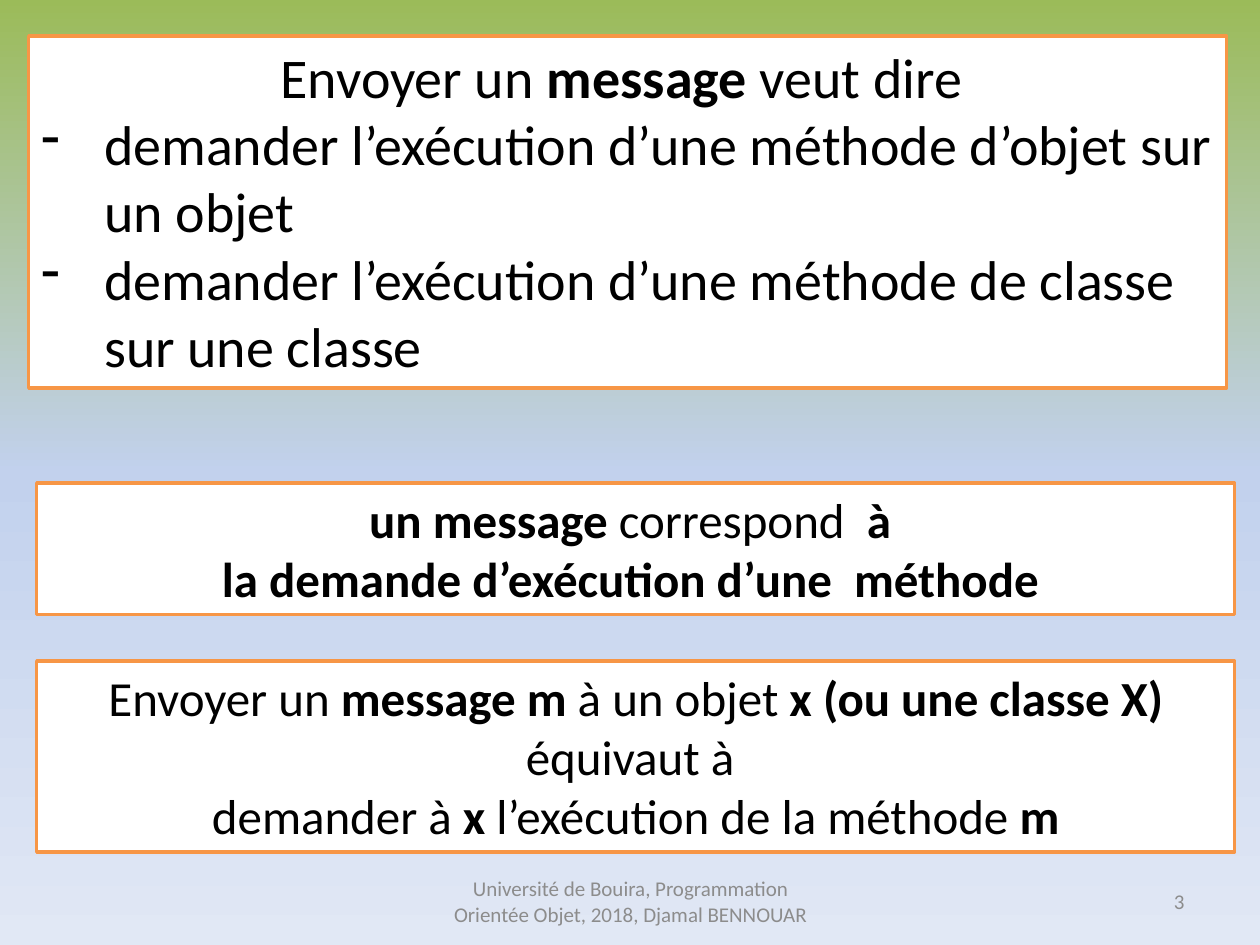
from copy import deepcopy

from pptx import Presentation
from pptx.dml.color import RGBColor
from pptx.enum.shapes import MSO_SHAPE
from pptx.enum.text import MSO_ANCHOR, MSO_AUTO_SIZE, PP_ALIGN
from pptx.oxml.ns import qn
from pptx.util import Cm, Pt
from lxml.etree import SubElement

COLORS = {
    "green": "9BBB59",
    "blue": "C2D1ED",
    "pale": "E1E8F5",
    "white": "FFFFFF",
    "orange": "F79646",
    "black": "000000",
    "grey": "8C8C8C",
}


def rgb(name):
    return RGBColor.from_string(COLORS[name])


def write_runs(paragraph, marked_text, size, color):
    for index, part in enumerate(marked_text.split("*")):
        if part:
            run = paragraph.add_run()
            run.text = part
            run.font.name = "Calibri"
            run.font.size = Pt(size)
            run.font.bold = index % 2 == 1
            run.font.color.rgb = rgb(color)


prs = Presentation()
prs.slide_width = Cm(25.4)
prs.slide_height = Cm(19.05)
slide = prs.slides.add_slide(prs.slide_layouts[6])

sky = slide.background.fill
sky.gradient()
sky.gradient_angle = 270
stop_list = slide.element.find(".//" + qn("a:gsLst"))
stop_list.append(deepcopy(stop_list[-1]))
for stop, position, name in zip(sky.gradient_stops, (0, 0.5, 1), ("green", "blue", "pale")):
    stop.position = position
    stop.color.rgb = rgb(name)

footers = [
    (8.69, 8.05, PP_ALIGN.CENTER, "Université de Bouira, Programmation Orientée Objet, 2018, Djamal BENNOUAR"),
    (18.2, 5.93, PP_ALIGN.RIGHT, "3"),
]
for left, width, alignment, text in footers:
    footer = slide.shapes.add_textbox(Cm(left), Cm(17.66), Cm(width), Cm(1.01)).text_frame
    footer.word_wrap = True
    footer.vertical_anchor = MSO_ANCHOR.MIDDLE
    footer.paragraphs[0].alignment = alignment
    write_runs(footer.paragraphs[0], text, 12, "grey")

statements = [
    (0.58, 0.73, 7.09, 32, [
        "Envoyer un *message* veut dire ",
        "- demander l’exécution d’une méthode d’objet sur un objet",
        "- demander l’exécution d’une méthode de classe sur une classe",
    ]),
    (0.74, 9.74, 2.65, 28, [
        "*un message *correspond  *à *",
        "*la demande d’exécution d’une  méthode *",
    ]),
    (0.74, 13.33, 3.85, 28, [
        "Envoyer un *message m* à un objet *x (ou une classe X)*",
        "équivaut à ",
        "demander à *x* l’exécution de la méthode *m*",
    ]),
]
for left, top, height, size, lines in statements:
    statement = slide.shapes.add_shape(MSO_SHAPE.RECTANGLE, Cm(left), Cm(top), Cm(24.15), Cm(height))
    statement.shadow.inherit = False
    statement.fill.solid()
    statement.fill.fore_color.rgb = rgb("white")
    statement.line.color.rgb = rgb("orange")
    statement.line.width = Pt(2)
    body = statement.text_frame
    body.word_wrap = True
    body.auto_size = MSO_AUTO_SIZE.SHAPE_TO_FIT_TEXT
    body.vertical_anchor = MSO_ANCHOR.TOP
    for index, line in enumerate(lines):
        paragraph = body.add_paragraph() if index else body.paragraphs[0]
        paragraph.alignment = PP_ALIGN.CENTER
        if line.startswith("- "):
            paragraph.alignment = PP_ALIGN.LEFT
            properties = paragraph._p.get_or_add_pPr()
            properties.set("marL", str(Cm(1.27)))
            properties.set("indent", str(-Cm(1.27)))
            SubElement(properties, qn("a:buChar")).set("char", "-")
        write_runs(paragraph, line.removeprefix("- "), size, "black")

prs.save("out.pptx")
